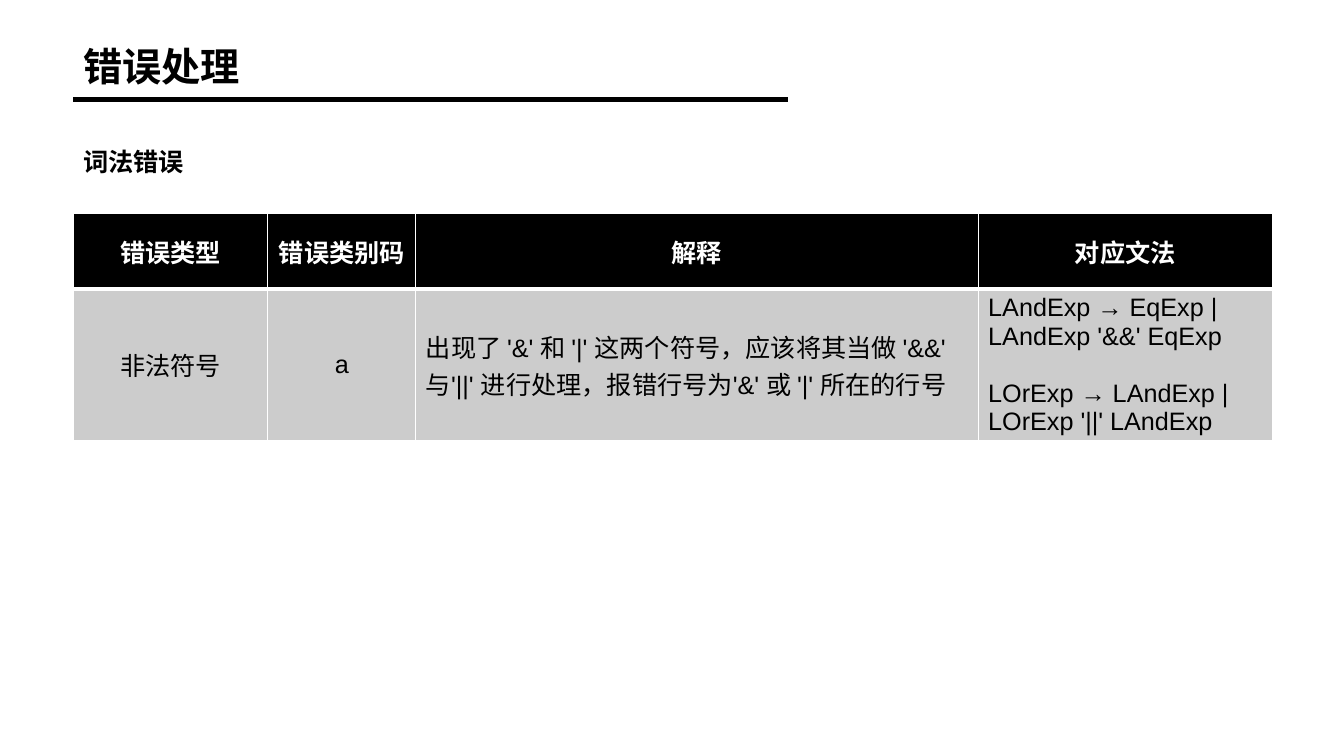
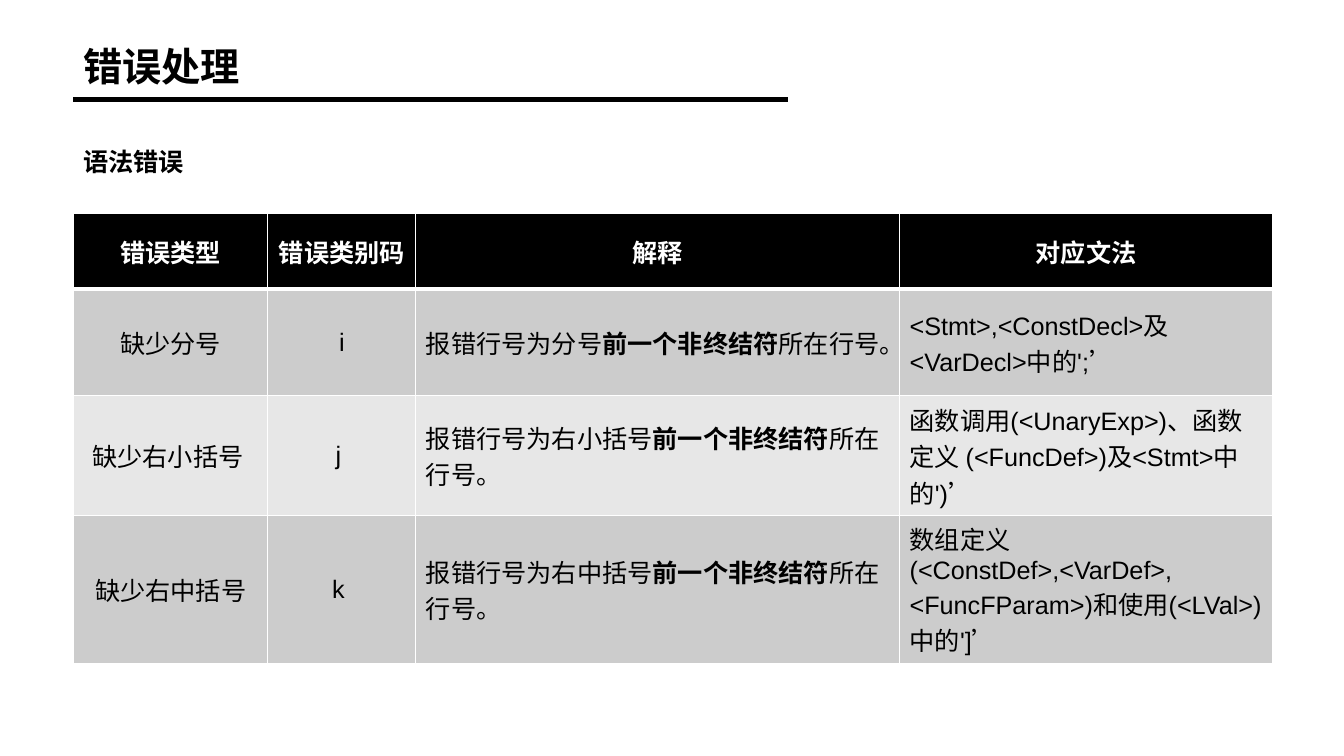
from lxml import etree
from pptx import Presentation
from pptx.dml.color import RGBColor
from pptx.enum.lang import MSO_LANGUAGE_ID
from pptx.enum.shapes import MSO_CONNECTOR
from pptx.enum.text import MSO_ANCHOR, MSO_AUTO_SIZE, PP_ALIGN
from pptx.oxml.ns import qn
from pptx.util import Cm, Pt

LEFT, CENTER = PP_ALIGN.LEFT, PP_ALIGN.CENTER
TOP, MIDDLE = MSO_ANCHOR.TOP, MSO_ANCHOR.MIDDLE
STRAIGHT = MSO_CONNECTOR.STRAIGHT
CHINESE = MSO_LANGUAGE_ID.SIMPLIFIED_CHINESE

FONT = "Arial"
BLACK, WHITE = "000000", "FFFFFF"
BANDS = ["CCCCCC", "E7E7E7"]
MARGIN = Cm(1.85)
TABLE_WIDTH = 30.22
HEAD_HEIGHT = 1.9
HEADS = ["错误类型", "错误类别码", "解释", "对应文法"]

LEXICAL = [
    ["非法符号", "a",
     "出现了 '&' 和 '|' 这两个符号，应该将其当做 '&&' 与'||' 进行处理，"
     "报错行号为'&' 或 '|' 所在的行号",
     "LAndExp → EqExp | LAndExp '&&' EqExp\n"
     "LOrExp → LAndExp | LOrExp '||' LAndExp"],
]
SYNTAX = [
    ["缺少分号", "i", "报错行号为分号*前一个非终结符*所在行号。",
     "<Stmt>,<ConstDecl>及<VarDecl>中的';’"],
    ["缺少右小括号 ", "j ", "报错行号为右小括号*前一个非终结符*所在行号。",
     "函数调用(<UnaryExp>)、函数定义 (<FuncDef>)及<Stmt>中的')’"],
    ["缺少右中括号", "k ", "报错行号为右中括号*前一个非终结符*所在行号。",
     "数组定义(<ConstDef>,<VarDef>, <FuncFParam>)和使用(<LVal>)中的']’"],
]


def color(code):
    return RGBColor.from_string(code)


def write(frame, text, size=18, ink=BLACK, bold=False, align=LEFT):
    """Fill a frame; a newline starts a paragraph, stars switch bold."""
    for i, line in enumerate(text.split("\n")):
        para = frame.add_paragraph() if i else frame.paragraphs[0]
        para.alignment = align
        if i:
            para.space_before = Pt(size * 1.15)
        for j, part in enumerate(line.split("*")):
            run = para.add_run()
            run.text = part
            font = run.font
            font.name, font.size = FONT, Pt(size)
            font.bold = bold or j % 2 == 1
            font.color.rgb = color(ink)
            font.language_id = CHINESE


def add_title(slide, text):
    title = slide.shapes.title
    title.left, title.top = MARGIN, Cm(1.07)
    title.width, title.height = Cm(30.15), Cm(1.78)
    frame = title.text_frame
    frame.auto_size = MSO_AUTO_SIZE.NONE
    frame.vertical_anchor = TOP
    write(frame, text, size=28, bold=True)
    frame.paragraphs[0].line_spacing = 0.9


def add_rule(slide):
    y = Cm(2.51)
    rule = slide.shapes.add_connector(STRAIGHT, MARGIN, y, Cm(19.86), y)
    rule.line.color.rgb = color(BLACK)
    rule.line.width = Pt(3)
    etree.SubElement(rule.element.spPr, qn("a:effectLst"))


def add_label(slide, text):
    box = slide.shapes.add_textbox(MARGIN, Cm(3.56), Cm(4.72), Cm(1.02))
    box.text_frame.word_wrap = True
    write(box.text_frame, text, bold=True)


def set_edges(cell, top, bottom):
    """Draw white cell borders, with top and bottom widths in points."""
    props = cell._tc.get_or_add_tcPr()
    widths = {"lnL": 1, "lnR": 1, "lnT": top, "lnB": bottom}
    for i, (side, width) in enumerate(widths.items()):
        edge = etree.Element(qn(f"a:{side}"), w=str(Pt(width)))
        fill = etree.SubElement(edge, qn("a:solidFill"))
        etree.SubElement(fill, qn("a:srgbClr"), val=WHITE)
        props.insert(i, edge)


def add_table(slide, rows, note_width, heights):
    widths = [4.9, 3.73, note_width]
    widths.append(TABLE_WIDTH - sum(widths))
    heights = [HEAD_HEIGHT] + heights
    table = slide.shapes.add_table(
        len(heights), len(widths), MARGIN, Cm(5.38),
        Cm(TABLE_WIDTH), Cm(sum(heights))).table
    for col, width in zip(table.columns, widths):
        col.width = Cm(width)
    for r, texts in enumerate([HEADS] + rows):
        table.rows[r].height = Cm(heights[r])
        head = r == 0
        for c, text in enumerate(texts):
            cell = table.cell(r, c)
            cell.vertical_anchor = MIDDLE
            cell.fill.solid()
            cell.fill.fore_color.rgb = color(
                BLACK if head else BANDS[(r - 1) % 2])
            set_edges(cell, 3 if r == 1 else 1, 3 if head else 1)
            write(cell.text_frame, text, ink=WHITE if head else BLACK,
                  bold=head, align=CENTER if head or c < 2 else LEFT)


def add_page(deck, label, rows, note_width, heights):
    slide = deck.slides.add_slide(deck.slide_layouts[5])
    add_title(slide, "错误处理")
    add_rule(slide)
    add_table(slide, rows, note_width, heights)
    add_label(slide, label)


def main():
    deck = Presentation()
    deck.slide_width, deck.slide_height = Cm(33.87), Cm(19.05)
    add_page(deck, "词法错误", LEXICAL, 14.17, [3.8])
    add_page(deck, "语法错误", SYNTAX, 12.19, [2.69, 3.02, 3.7])
    deck.save("out.pptx")


if __name__ == "__main__":
    main()
